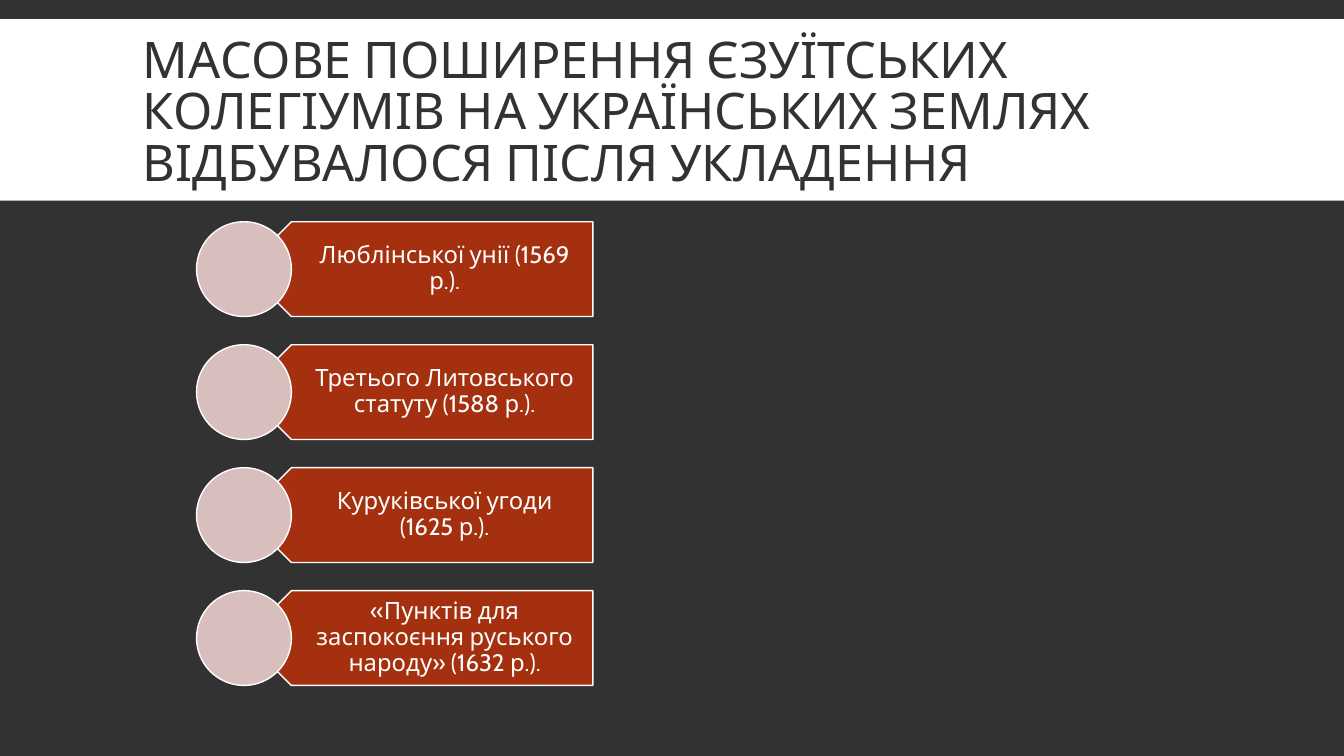
from pptx import Presentation
from pptx.dml.color import RGBColor
from pptx.enum import shapes, text
from pptx.util import Inches, Pt

TITLE = "МАСОВЕ ПОШИРЕННЯ ЄЗУЇТСЬКИХ КОЛЕГІУМІВ НА УКРАЇНСЬКИХ ЗЕМЛЯХ ВІДБУВАЛОСЯ ПІСЛЯ УКЛАДЕННЯ"
ANSWERS = [
    "Люблінської унії (1569 р.).",
    "Третього Литовського статуту (1588 р.).",
    "Куруківської угоди (1625 р.).",
    "«Пунктів для заспокоєння руського народу» (1632 р.).",
]
COLORS = {"dark": "323232", "white": "FFFFFF", "plate": "A5300F", "circle": "D8BEBD"}
FONT = "Cabin"
FIRST_TOP, STEP, HEIGHT = 2.2, 1.22, 0.94


def color(name):
    return RGBColor.from_string(COLORS[name])


def add_shape(page, kind, area, fill, line=None):
    shape = page.shapes.add_shape(kind, *map(Inches, area))
    shape.shadow.inherit = False
    shape.fill.solid()
    shape.fill.fore_color.rgb = color(fill)
    if line:
        shape.line.color.rgb = color(line)
        shape.line.width = Pt(1)
    else:
        shape.line.fill.background()
    return shape


def add_text(page, wording, area, size, ink, spacing, align, insets):
    box = page.shapes.add_textbox(*map(Inches, area))
    frame = box.text_frame
    frame.word_wrap = True
    frame.vertical_anchor = text.MSO_ANCHOR.MIDDLE
    frame.margin_left, frame.margin_top, frame.margin_right, frame.margin_bottom = map(Inches, insets)
    para = frame.paragraphs[0]
    para.alignment = align
    para.line_spacing = spacing
    span = para.add_run()
    span.text = wording
    span.font.name = FONT
    span.font.size = Pt(size)
    span.font.color.rgb = color(ink)


def add_answer(page, wording, top):
    plate = add_shape(page, shapes.MSO_SHAPE.PENTAGON, (2.42, top, 3.46, HEIGHT), "plate", "white")
    plate.rotation = 180
    add_text(page, wording, (2.66, top, 3.22, HEIGHT), 17, "white", 0.9,
             text.PP_ALIGN.CENTER, (0.41, 0.07, 0.13, 0.07))
    add_shape(page, shapes.MSO_SHAPE.OVAL, (1.95, top, HEIGHT, HEIGHT), "circle", "white")


def main():
    deck = Presentation()
    deck.slide_width, deck.slide_height = Inches(13.33), Inches(7.5)
    page = deck.slides.add_slide(deck.slide_layouts[6])
    page.background.fill.solid()
    page.background.fill.fore_color.rgb = color("dark")

    add_shape(page, shapes.MSO_SHAPE.RECTANGLE, (0, 0.19, 13.33, 1.8), "white")
    add_text(page, TITLE, (1.32, 0.31, 10.7, 1.65), 36, "dark", 0.85,
             text.PP_ALIGN.LEFT, (0.1, 0.05, 0.1, 0.05))
    for index, wording in enumerate(ANSWERS):
        add_answer(page, wording, FIRST_TOP + index * STEP)
    deck.save("out.pptx")


if __name__ == "__main__":
    main()
